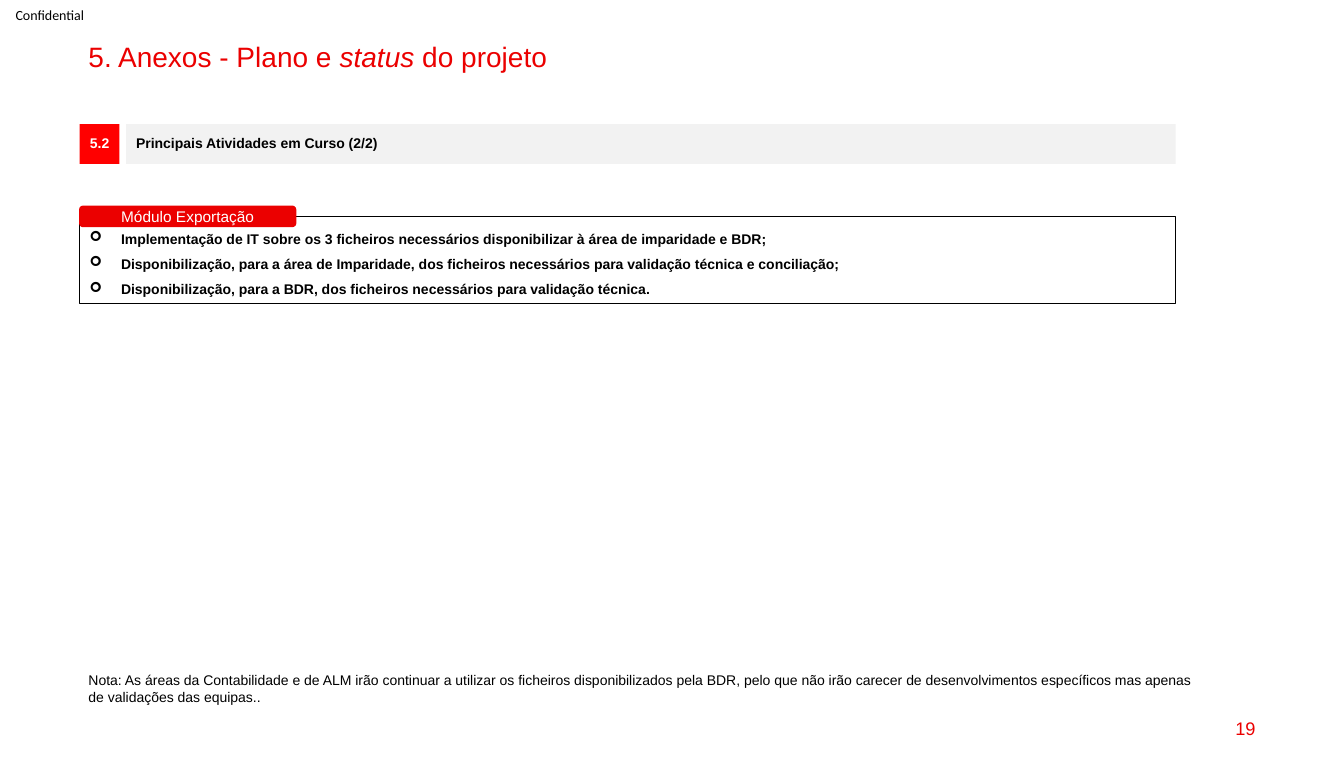
import pptx
import pptx.dml.color
import pptx.enum.shapes
import pptx.enum.text
import pptx.oxml.ns
import pptx.util
from lxml import etree
from pptx.util import Cm

SHAPE = pptx.enum.shapes.MSO_SHAPE
ALIGN = pptx.enum.text.PP_ALIGN
ANCHOR = pptx.enum.text.MSO_ANCHOR
RED, BLACK, WHITE = "EB0000", "000000", "FFFFFF"


def color(hex_code):
    return pptx.dml.color.RGBColor.from_string(hex_code)


def add_panel(slide, box, kind=SHAPE.RECTANGLE, fill=None, line=None, line_width=0.5):
    panel = slide.shapes.add_shape(kind, *map(Cm, box))
    panel.shadow.inherit = False
    if fill:
        panel.fill.solid()
        panel.fill.fore_color.rgb = color(fill)
    else:
        panel.fill.background()
    if line:
        panel.line.color.rgb = color(line)
        panel.line.width = pptx.util.Pt(line_width)
    else:
        panel.line.fill.background()
    return panel


def add_bullet(paragraph, char, indent):
    properties = paragraph._p.get_or_add_pPr()
    properties.set("marL", str(Cm(indent)))
    properties.set("indent", str(-Cm(indent)))
    for tag, name, value in (("a:buFont", "typeface", "Wingdings"), ("a:buChar", "char", char)):
        etree.SubElement(properties, pptx.oxml.ns.qn(tag)).set(name, value)


def write(shape, paragraphs, size=10, ink=BLACK, bold=False, align=ALIGN.LEFT, anchor=ANCHOR.MIDDLE,
          spacing=1.0, margins=(0.25, 0.13), wrap=True, font="Arial", bullet=None):
    """Fill a shape with paragraphs, each a list of (text, italic) runs."""
    frame = shape.text_frame
    frame.word_wrap = wrap
    frame.vertical_anchor = anchor
    frame.margin_left = frame.margin_right = Cm(margins[0])
    frame.margin_top = frame.margin_bottom = Cm(margins[1])
    for index, runs in enumerate(paragraphs):
        paragraph = frame.add_paragraph() if index else frame.paragraphs[0]
        paragraph.alignment = align
        paragraph.line_spacing = spacing
        if bullet:
            add_bullet(paragraph, bullet, 0.79)
        for text, italic in runs:
            run = paragraph.add_run()
            run.text = text
            run.font.name = font
            run.font.size = pptx.util.Pt(size)
            run.font.bold = bold
            run.font.italic = italic
            run.font.color.rgb = color(ink)


def plain(*lines):
    """Turn each line into a paragraph of one upright run."""
    return [[(line, False)] for line in lines]


def add_text(slide, box, paragraphs, **style):
    write(slide.shapes.add_textbox(*map(Cm, box)), paragraphs, **style)


def add_section_bar(slide, box, number, heading):
    left, top, width, height = box
    offset = height + 0.17
    badge = add_panel(slide, (left, top, height, height), fill="FF0000")
    write(badge, plain(number), ink=WHITE, bold=True, align=ALIGN.CENTER, spacing=0.9,
          margins=(0, 0.13))
    bar = add_panel(slide, (left + offset, top, width - offset, height), fill="F2F2F2")
    write(bar, plain(heading), bold=True, spacing=0.9)


def add_module(slide, box, name, activities):
    """Bordered activity list with a name tab straddling its top edge."""
    left, top, width, height = box
    tab_height = 0.51
    frame = add_panel(slide, (left, top + tab_height / 2, width, height - tab_height / 2), line=BLACK)
    write(frame, plain(*activities), bold=True, anchor=ANCHOR.TOP, spacing=1.5, bullet="➢")
    tab = add_panel(slide, (left, top, 5.44, tab_height), SHAPE.ROUNDED_RECTANGLE, RED, RED, 1)
    write(tab, plain(name), size=11, ink=WHITE, align=ALIGN.CENTER, margins=(0.25, 0))


def main():
    deck = pptx.Presentation()
    deck.slide_width, deck.slide_height = Cm(33.86), Cm(19.71)
    slide = deck.slides.add_slide(deck.slide_layouts[6])

    add_text(slide, (0, 0, 2.51, 0.74), plain("Confidential"), font="Calibri",
             align=ALIGN.CENTER, margins=(0, 0), wrap=False)
    title = [("5. Anexos - Plano e ", False), ("status", True), (" do projeto", False)]
    add_text(slide, (1.98, 0.97, 29.9, 0.86), [title], size=20, ink=RED, anchor=ANCHOR.TOP, spacing=0.9)
    add_section_bar(slide, (2.01, 3.13, 27.61, 1), "5.2", "Principais Atividades em Curso (2/2)")
    add_module(slide, (2.01, 5.2, 27.61, 2.45), "Módulo Exportação", [
        "Implementação de IT sobre os 3 ficheiros necessários disponibilizar à área de imparidade e BDR;",
        "Disponibilização, para a área de Imparidade, dos ficheiros necessários para validação técnica "
        "e conciliação;",
        "Disponibilização, para a BDR, dos ficheiros necessários para validação técnica.",
    ])
    add_text(slide, (1.98, 16.79, 28.63, 1.11), plain(
        "Nota: As áreas da Contabilidade e de ALM irão continuar a utilizar os ficheiros disponibilizados "
        "pela BDR, pelo que não irão carecer de desenvolvimentos específicos mas apenas",
        "de validações das equipas..",
    ), anchor=ANCHOR.TOP, wrap=False)
    add_text(slide, (24.26, 17.83, 7.62, 1.04), plain("19"), size=13, ink=RED, align=ALIGN.RIGHT)

    deck.save("out.pptx")


if __name__ == "__main__":
    main()
